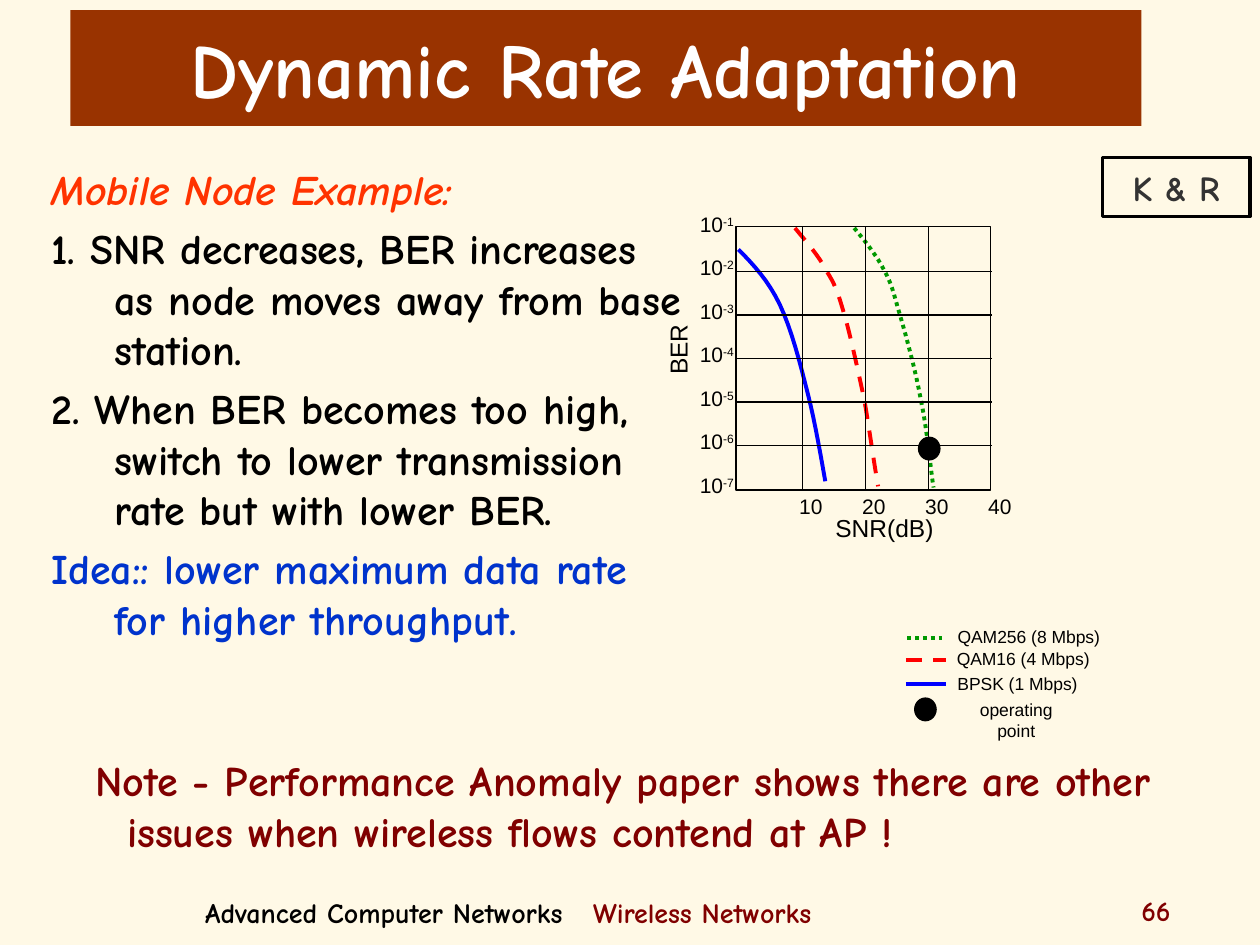
from dataclasses import dataclass

from lxml import etree
from pptx import Presentation
from pptx.dml.color import RGBColor
from pptx.enum.dml import MSO_LINE
from pptx.enum.shapes import MSO_CONNECTOR, MSO_SHAPE
from pptx.enum.text import MSO_ANCHOR, MSO_AUTO_SIZE, PP_ALIGN
from pptx.oxml.ns import qn
from pptx.util import Inches, Pt

RECT, OVAL = MSO_SHAPE.RECTANGLE, MSO_SHAPE.OVAL
STRAIGHT = MSO_CONNECTOR.STRAIGHT
DASH, DOT = MSO_LINE.DASH, MSO_LINE.ROUND_DOT
CENTER, MIDDLE = PP_ALIGN.CENTER, MSO_ANCHOR.MIDDLE
FIT_TEXT = MSO_AUTO_SIZE.SHAPE_TO_FIT_TEXT

COLORS = {
    "cream": "FFF9E6", "brown": "993300", "white": "FFFFFF", "black": "000000",
    "gray": "333333", "orange": "FF3300", "navy": "0033CC", "maroon": "800000",
    "blue": "0000FF", "red": "FF0000", "green": "009900",
}
HAND, PLAIN = "Comic Neue", "Arial"


@dataclass
class Statement:
    text: str
    color: str
    indent: float = 0.5
    italic: bool = False


@dataclass
class Modulation:
    label: str
    color: str
    dash: object
    points: list
    key: tuple
    key_y: float
    label_box: tuple


STATEMENTS = [
    Statement("Mobile Node Example:", "orange", 0.25, True),
    Statement("1. SNR decreases, BER increases as node moves away from base station.", "black"),
    Statement("2. When BER becomes too high, switch to lower transmission rate but with lower BER.", "black"),
    Statement("Idea:: lower maximum data rate for higher throughput.", "navy"),
]
NOTE = Statement("Note - Performance Anomaly paper shows there are other issues "
                 "when wireless flows contend at AP !", "maroon", 0.25)
MODULATIONS = [
    Modulation("BPSK (1 Mbps)", "blue", None,
               [(5.86, 1.98), (5.98, 2.1), (6.1, 2.23), (6.19, 2.42), (6.28, 2.61),
                (6.35, 2.88), (6.41, 3.12), (6.47, 3.35), (6.53, 3.71), (6.55, 3.82)],
               (7.19, 7.51), 5.43, (7.5, 5.29, 1.15, 0.27)),
    Modulation("QAM16 (4 Mbps)", "red", DASH,
               [(6.31, 1.81), (6.4, 1.92), (6.5, 2.03), (6.56, 2.15), (6.63, 2.26),
                (6.65, 2.32), (6.7, 2.49), (6.75, 2.66), (6.81, 2.94), (6.86, 3.17),
                (6.9, 3.4), (6.93, 3.63), (6.97, 3.86)],
               (7.19, 7.51), 5.24, (7.49, 5.09, 1.26, 0.27)),
    Modulation("QAM256 (8 Mbps)", "green", DOT,
               [(6.78, 1.81), (6.87, 1.92), (6.96, 2.03), (7.02, 2.15), (7.08, 2.26),
                (7.09, 2.32), (7.14, 2.49), (7.19, 2.66), (7.27, 2.95), (7.31, 3.18),
                (7.36, 3.41), (7.39, 3.76), (7.41, 3.87)],
               (7.2, 7.49), 5.06, (7.5, 4.92, 1.33, 0.27)),
]


def rgb(color: str) -> RGBColor:
    return RGBColor.from_string(COLORS[color])


def style_line(line, color: str, width: float, dash=None) -> None:
    line.color.rgb = rgb(color)
    line.width = Pt(width)
    if dash is not None:
        line.dash_style = dash


def style_run(run, size: float, font: str, color: str, italic: bool = False) -> None:
    run.font.size = Pt(size)
    run.font.name = font
    run.font.bold = font == HAND
    run.font.italic = italic
    run.font.color.rgb = rgb(color)


def add_box(slide, box: tuple):
    frame = slide.shapes.add_textbox(*map(Inches, box)).text_frame
    frame.word_wrap = True
    return frame


def add_label(slide, box: tuple, text: str, size: float, rotation: float = 0, exponent: str = "") -> None:
    label = slide.shapes.add_textbox(*map(Inches, box))
    label.rotation = rotation
    frame = label.text_frame
    frame.word_wrap = False
    frame.auto_size = FIT_TEXT
    frame.text = text
    paragraph = frame.paragraphs[0]
    paragraph.alignment = CENTER
    if exponent:
        power = paragraph.add_run()
        power.text = exponent
        power.font._element.set("baseline", "30000")
    for run in paragraph.runs:
        style_run(run, size, PLAIN, "black")


def add_statements(slide, box: tuple, statements: list[Statement]) -> None:
    frame = add_box(slide, box)
    frame.text = "\n".join(statement.text for statement in statements)
    for index, (paragraph, statement) in enumerate(zip(frame.paragraphs, statements)):
        hang = Inches(statement.indent)
        properties = paragraph._p.get_or_add_pPr()
        properties.set("marL", str(hang))
        properties.set("indent", str(-hang))
        if index:
            paragraph.space_before = Pt(5)
        style_run(paragraph.runs[0], 24, HAND, statement.color, statement.italic)


def add_panel(slide, kind, box: tuple, fill: str = "", line: str = "", width: float = 0.75):
    panel = slide.shapes.add_shape(kind, *map(Inches, box))
    panel.shadow.inherit = False
    if fill:
        panel.fill.solid()
        panel.fill.fore_color.rgb = rgb(fill)
    else:
        panel.fill.background()
    if line:
        style_line(panel.line, line, width)
    else:
        panel.line.fill.background()
    return panel


def set_caption(panel, text: str, size: float, color: str, wrap: bool) -> None:
    frame = panel.text_frame
    frame.word_wrap = wrap
    frame.vertical_anchor = MIDDLE
    frame.text = text
    frame.paragraphs[0].alignment = CENTER
    style_run(frame.paragraphs[0].runs[0], size, HAND, color)


def add_line(slide, start: tuple, end: tuple, color: str = "black", width: float = 0.75, dash=None) -> None:
    line = slide.shapes.add_connector(STRAIGHT, *map(Inches, start + end))
    style_line(line.line, color, width, dash)
    etree.SubElement(line._element.spPr, qn("a:effectLst"))


def bezier(points: list, t: float) -> tuple:
    weights = ((1 - t) ** 3, 3 * t * (1 - t) ** 2, 3 * t ** 2 * (1 - t), t ** 3)
    return tuple(Inches(sum(w * p[axis] for w, p in zip(weights, points))) for axis in (0, 1))


def add_curve(slide, modulation: Modulation, steps: int = 8) -> None:
    points = modulation.points
    builder = slide.shapes.build_freeform(*map(Inches, points[0]))
    builder.add_line_segments(
        [bezier(points[first:first + 4], step / steps)
         for first in range(0, len(points) - 1, 3) for step in range(1, steps + 1)],
        close=False)
    curve = builder.convert_to_shape()
    curve.shadow.inherit = False
    curve.fill.background()
    style_line(curve.line, modulation.color, 2.25, modulation.dash)


def add_footer(slide) -> None:
    course = add_box(slide, (1.53, 7.06, 7.28, 0.31)).paragraphs[0]
    tabs = etree.SubElement(course._p.get_or_add_pPr(), qn("a:tabLst"))
    etree.SubElement(tabs, qn("a:tab"), pos=str(Inches(3.08)), algn="l")
    page = add_box(slide, (8.96, 7.04, 1, 0.25)).paragraphs[0]
    for paragraph, text, color in ((course, "Advanced Computer Networks\t", "black"),
                                   (course, "Wireless Networks", "maroon"), (page, "66", "maroon")):
        run = paragraph.add_run()
        run.text = text
        style_run(run, 16, HAND, color)


def add_plot(slide) -> None:
    for modulation in MODULATIONS:
        add_curve(slide, modulation)
        left, right = modulation.key
        add_line(slide, (left, modulation.key_y), (right, modulation.key_y),
                 modulation.color, 2.25, modulation.dash)
        add_label(slide, modulation.label_box, modulation.label, 10)
    add_panel(slide, RECT, (5.84, 1.8, 2.02, 2.09), line="black")
    for row in range(1, 6):
        y = 1.81 + 0.345 * row
        add_line(slide, (5.85, y), (7.87, y))
    for column in range(3):
        x = 6.37 + 0.5 * column
        add_line(slide, (x, 1.8), (x, 3.89))
    for column in range(4):
        add_label(slide, (6.24 + 0.5 * column, 3.87, 0.39, 0.3), str(10 * (column + 1)), 12)
    for row in range(7):
        add_label(slide, (5.45, 1.63 + 0.345 * row, 0.48, 0.3), "10", 12, exponent=f"-{row + 1}")
    add_label(slide, (6.53, 4.02, 0.98, 0.33), "SNR(dB)", 14)
    add_label(slide, (5.08, 2.61, 0.6, 0.33), "BER", 14, rotation=270)
    for left, top in ((7.29, 3.47), (7.26, 5.54)):
        add_panel(slide, OVAL, (left, top, 0.17, 0.18), "black", "black")
    add_label(slide, (7.51, 5.5, 1.11, 0.27), "operating point", 10)


def main() -> None:
    """Build the slide on dynamic rate adaptation."""
    deck = Presentation()
    deck.slide_width, deck.slide_height = Inches(10), Inches(7.5)
    slide = deck.slides.add_slide(deck.slide_layouts[6])
    slide.background.fill.solid()
    slide.background.fill.fore_color.rgb = rgb("cream")
    title = add_panel(slide, RECT, (0.56, 0.08, 8.5, 0.92), "brown")
    set_caption(title, "Dynamic Rate Adaptation", 44, "white", True)
    add_statements(slide, (0.31, 1.25, 5.23, 4.77), STATEMENTS)
    add_footer(slide)
    add_plot(slide)
    source = add_panel(slide, RECT, (8.75, 1.25, 1.17, 0.47), line="black", width=2)
    set_caption(source, "K & R", 20, "gray", False)
    add_statements(slide, (0.66, 5.94, 8.98, 0.81), [NOTE])
    deck.save("out.pptx")


if __name__ == "__main__":
    main()
